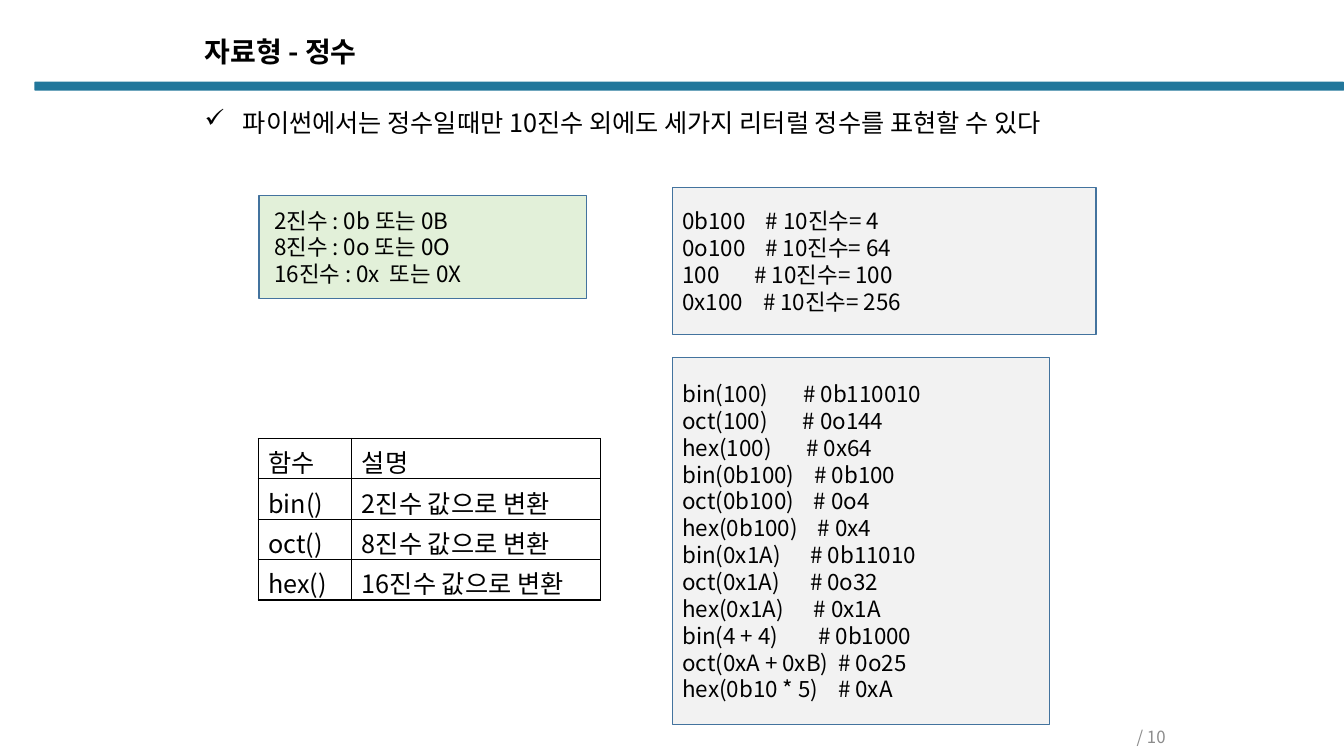
from lxml import etree
from pptx import Presentation
from pptx.dml.color import RGBColor
from pptx.enum.shapes import MSO_SHAPE
from pptx.enum.text import MSO_ANCHOR, PP_ALIGN
from pptx.oxml.ns import qn
from pptx.util import Inches, Pt

RECT, ROUND_RECT = MSO_SHAPE.RECTANGLE, MSO_SHAPE.ROUNDED_RECTANGLE
TOP, MIDDLE = MSO_ANCHOR.TOP, MSO_ANCHOR.MIDDLE
LEFT, RIGHT = PP_ALIGN.LEFT, PP_ALIGN.RIGHT
FONT = "Noto Sans CJK KR"
COLORS = {"bar": "22779B", "text": "000000", "number": "8C8C8C", "green": "E2F0D9",
          "gray": "F2F2F2", "outline": "43739E", "grid": "000000"}

BASES = ["2진수 : 0b 또는 0B", "8진수 : 0o 또는 0O", "16진수 : 0x  또는 0X"]
LITERALS = ["0b100    # 10진수= 4", "0o100    # 10진수= 64",
            "100       # 10진수= 100", "0x100    # 10진수= 256"]
CONVERSIONS = [
    "bin(100)       # 0b110010", "oct(100)       # 0o144", "hex(100)       # 0x64",
    "bin(0b100)    # 0b100", "oct(0b100)    # 0o4", "hex(0b100)    # 0x4",
    "bin(0x1A)      # 0b11010", "oct(0x1A)      # 0o32", "hex(0x1A)      # 0x1A",
    "bin(4 + 4)        # 0b1000", "oct(0xA + 0xB)  # 0o25", "hex(0b10 * 5)    # 0xA",
]
FUNCTIONS = [("함수", "설명"), ("bin()", "2진수 값으로 변환"),
             ("oct()", "8진수 값으로 변환"), ("hex()", "16진수 값으로 변환")]


def rgb(name):
    return RGBColor.from_string(COLORS[name])


def inches(box):
    return [Inches(v) for v in box]


def write(tf, lines, size=18, color="text", bold=False, align=LEFT, anchor=TOP,
          spacing=None, bullet=None):
    """Fill a text frame with one paragraph per line."""
    tf.word_wrap = True
    tf.vertical_anchor = anchor
    for i, line in enumerate(lines):
        p = tf.paragraphs[0] if i == 0 else tf.add_paragraph()
        p.alignment = align
        if spacing:
            p.line_spacing = spacing
        if bullet:
            pPr = p._p.get_or_add_pPr()
            pPr.set("marL", str(Inches(0.38)))
            pPr.set("indent", str(-Inches(0.38)))
            etree.SubElement(pPr, qn("a:buChar")).set("char", bullet)
        r = p.add_run()
        r.text = line
        r.font.size, r.font.bold, r.font.name = Pt(size), bold, FONT
        r.font.color.rgb = rgb(color)
        etree.SubElement(r._r.get_or_add_rPr(), qn("a:ea")).set("typeface", FONT)


def add_text(slide, box, text, **style):
    sp = slide.shapes.add_textbox(*inches(box))
    write(sp.text_frame, [text], **style)


def add_box(slide, box, fill, shape=RECT, outline=None):
    sp = slide.shapes.add_shape(shape, *inches(box))
    sp.shadow.inherit = False
    sp.fill.solid()
    sp.fill.fore_color.rgb = rgb(fill)
    if outline:
        sp.line.color.rgb = rgb(outline)
        sp.line.width = Pt(1)
    else:
        sp.line.fill.background()
    return sp


def add_header(slide, box):
    """Title above a bar that runs to the right edge of the box."""
    x, y, w, h = box
    bar = add_box(slide, (x, y + h - 0.09, w, 0.09), "bar", ROUND_RECT)
    bar.adjustments[0] = 0.13
    add_text(slide, (x + 1.59, y, 5.93, 0.47), "자료형 - 정수", size=20, bold=True,
             spacing=0.9)


def add_code(slide, box, lines, fill="gray", inset=0.1):
    sp = add_box(slide, box, fill, outline="outline")
    sp.text_frame.margin_left = Inches(inset)
    write(sp.text_frame, lines, size=16, anchor=MIDDLE)


def add_borders(cell):
    tcPr = cell._tc.get_or_add_tcPr()
    for side in ("lnL", "lnR", "lnT", "lnB"):
        ln = etree.SubElement(tcPr, qn(f"a:{side}"), w=str(Pt(1)))
        fill = etree.SubElement(ln, qn("a:solidFill"))
        etree.SubElement(fill, qn("a:srgbClr"), val=COLORS["grid"])


def add_function_table(slide, box, rows, first_width=0.93):
    x, y, w, h = box
    table = slide.shapes.add_table(len(rows), 2, *inches(box)).table
    table.first_row = table.horz_banding = False
    for col, width in zip(table.columns, (first_width, w - first_width)):
        col.width = Inches(width)
    for r, texts in enumerate(rows):
        table.rows[r].height = Inches(h / len(rows))
        for c, text in enumerate(texts):
            cell = table.cell(r, c)
            add_borders(cell)
            cell.fill.background()
            write(cell.text_frame, [text])


def build_slide(prs):
    slide = prs.slides.add_slide(prs.slide_layouts[6])
    add_header(slide, (0.34, 0.33, 12.99, 0.57))
    add_text(slide, (9.33, 7.19, 2.33, 0.23), "/ 10", size=12, color="number",
             align=RIGHT, anchor=MIDDLE)
    add_text(slide, (1.93, 1.02, 9.18, 0.71),
             "파이썬에서는 정수일때만 10진수 외에도 세가지 리터럴 정수를 표현할 수 있다",
             bullet="✓")
    add_code(slide, (2.57, 1.94, 3.25, 1.02), BASES, fill="green", inset=0.15)
    add_code(slide, (6.67, 1.86, 4.2, 1.46), LITERALS)
    add_function_table(slide, (2.56, 4.35, 3.4, 1.6), FUNCTIONS)
    add_code(slide, (6.67, 3.55, 3.74, 3.64), CONVERSIONS)


def main():
    prs = Presentation()
    prs.slide_width, prs.slide_height = Inches(13.33), Inches(7.5)
    build_slide(prs)
    prs.save("out.pptx")


if __name__ == "__main__":
    main()
